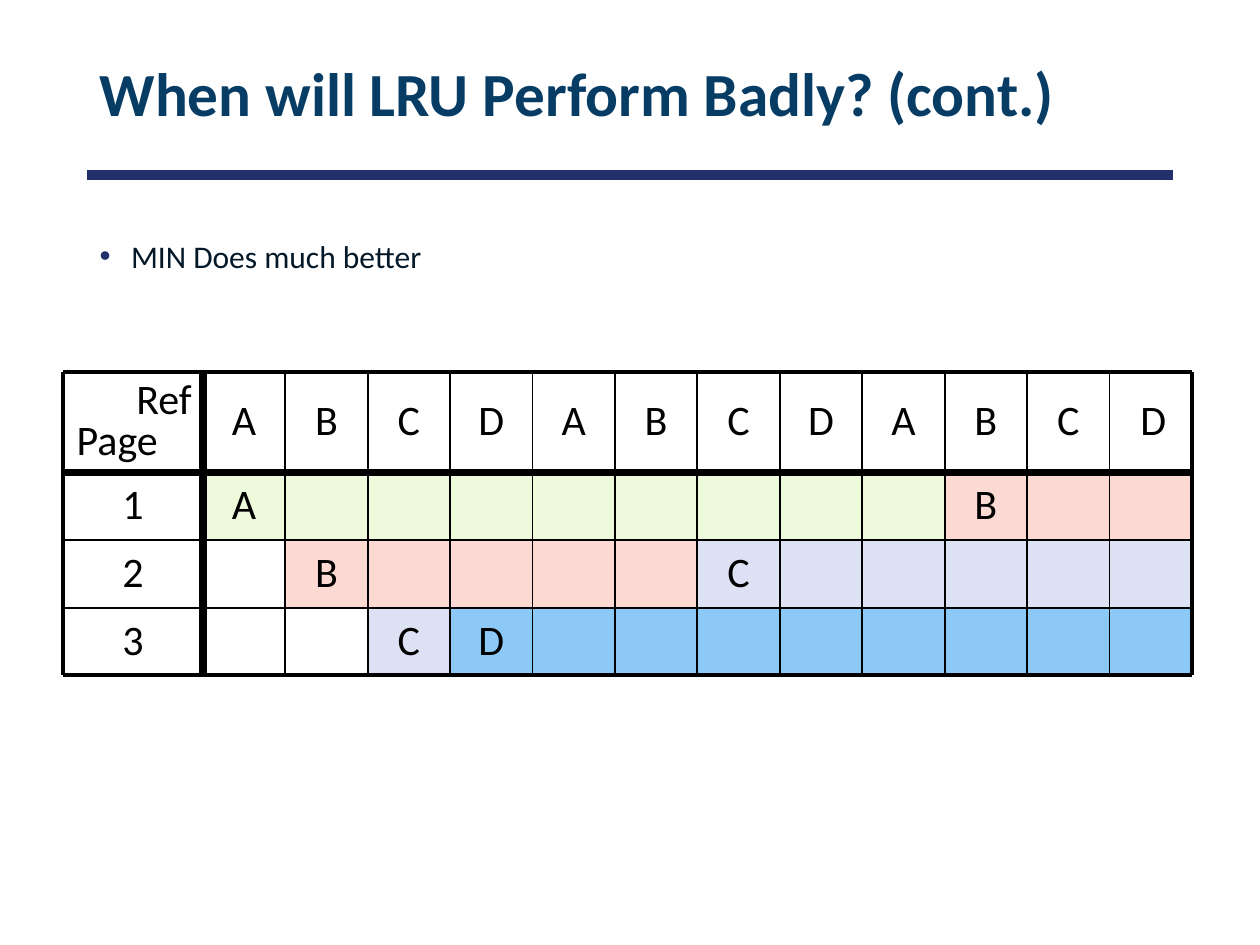
from lxml import etree
from pptx import Presentation, util as u
from pptx.dml.color import RGBColor
from pptx.enum import shapes, text
from pptx.oxml import ns

FONT = "Calibri"
TITLE_BLUE = RGBColor(0x07, 0x3C, 0x65)
RULE_BLUE = RGBColor(0x21, 0x30, 0x6A)
BODY_INK = RGBColor(0x03, 0x18, 0x28)
BLACK = RGBColor(0, 0, 0)
WHITE = RGBColor(0xFF, 0xFF, 0xFF)
PAGE_FILLS = {
    "A": RGBColor(0xED, 0xFB, 0xDC),
    "B": RGBColor(0xFC, 0xD9, 0xD3),
    "C": RGBColor(0xDC, 0xE1, 0xF4),
    "D": RGBColor(0x8C, 0xC9, 0xF7),
}
REFERENCES = "ABCD" * 3
FRAMES = ["A" * 9 + "B" * 3, " " + "B" * 5 + "C" * 6, "  C" + "D" * 9]
ALIGN = text.PP_ALIGN
ANCHOR = text.MSO_ANCHOR


def apply(target, formats):
    """Set every attribute in formats on target."""
    for key, value in formats.items():
        setattr(target, key, value)


def write(paragraph, words, size, color, bold=False, **formats):
    """Put words in a paragraph with its font and paragraph formats."""
    run = paragraph.add_run()
    run.text = words
    apply(run.font, {"name": FONT, "size": u.Pt(size), "bold": bold})
    run.font.color.rgb = color
    apply(paragraph, formats)


def place(part, box):
    """Move a part to a box of left, top, width and height in inches."""
    apply(part, dict(zip(("left", "top", "width", "height"), map(u.Inches, box))))


def add_line(slide, start, end, color, width):
    """Draw a straight line between two points in inches."""
    line = slide.shapes.add_connector(shapes.MSO_CONNECTOR.STRAIGHT,
                                      *map(u.Inches, (*start, *end)))
    line.line.color.rgb = color
    line.line.width = u.Pt(width)
    etree.SubElement(line._element.spPr, ns.qn("a:effectLst"))


def add_heading(slide, box):
    """Fill the title placeholder and draw the rule below it."""
    heading = slide.shapes.title
    place(heading, box)
    heading.text_frame.vertical_anchor = ANCHOR.MIDDLE
    write(heading.text_frame.paragraphs[0], "When will LRU Perform Badly? (cont.)",
          35, TITLE_BLUE, True, alignment=ALIGN.LEFT, line_spacing=0.9)
    left, top, width, height = box
    rule_y = top + height + 0.08
    add_line(slide, (left, rule_y), (left + width, rule_y), RULE_BLUE, 6)


def add_remark(slide, box):
    """Fill the body placeholder with its one bulleted remark."""
    body = slide.placeholders[1]
    place(body, box)
    remark = body.text_frame.paragraphs[0]
    write(remark, "MIN Does much better", 18, BODY_INK, space_before=u.Pt(10))
    properties = remark._p.get_or_add_pPr()
    properties.set("marL", str(u.Inches(0.25)))
    properties.set("indent", str(-u.Inches(0.25)))
    bullet_color = etree.SubElement(properties, ns.qn("a:buClr"))
    etree.SubElement(bullet_color, ns.qn("a:srgbClr"), val=str(RULE_BLUE))
    etree.SubElement(properties, ns.qn("a:buChar"), char="•")


def add_cell(slide, box, label="", fill=None):
    """Place one cell, filled or clear, with a centred label if it has one."""
    bounds = list(map(u.Inches, box))
    if fill is None:
        cell = slide.shapes.add_textbox(*bounds)
    else:
        cell = slide.shapes.add_shape(shapes.MSO_SHAPE.RECTANGLE, *bounds)
        cell.shadow.inherit = False
        cell.fill.solid()
        cell.fill.fore_color.rgb = fill
        cell.line.fill.background()
    apply(cell.text_frame, {"word_wrap": True, "vertical_anchor": ANCHOR.MIDDLE})
    if label:
        write(cell.text_frame.paragraphs[0], label, 24, BLACK,
              alignment=ALIGN.CENTER, line_spacing=0.9)


def add_corner(slide, box):
    """Label the corner for both the row and the column headings."""
    corner = slide.shapes.add_textbox(*map(u.Inches, box))
    frame = corner.text_frame
    apply(frame, {"word_wrap": True, "vertical_anchor": ANCHOR.TOP})
    write(frame.paragraphs[0], "Ref", 24, BLACK, alignment=ALIGN.RIGHT, line_spacing=0.9)
    write(frame.add_paragraph(), "Page", 24, BLACK, alignment=ALIGN.LEFT,
          line_spacing=0.5, space_before=u.Pt(7))


def add_grid(slide, xs, ys):
    """Rule the grid: thick below and beside the headings, medium outside."""
    def weight(edge, edges):
        return {0: 2.25, 1: 4.5, len(edges) - 1: 2.25}.get(edge, 1)

    for row, y in enumerate(ys):
        add_line(slide, (xs[0], y), (xs[-1], y), BLACK, weight(row, ys))
    for column, x in enumerate(xs):
        add_line(slide, (x, ys[0]), (x, ys[-1]), BLACK, weight(column, xs))


def add_trace(slide, box):
    """Build the chart of page frames against the reference string."""
    left, top, width, height = box
    label_width, header_height = 1.11, 0.8
    step = (width - label_width) / len(REFERENCES)
    row_height = (height - header_height) / len(FRAMES)
    xs = [left] + [left + label_width + step * n for n in range(len(REFERENCES) + 1)]
    ys = [top] + [top + header_height + row_height * n for n in range(len(FRAMES) + 1)]

    for number, (frame, y) in enumerate(zip(FRAMES, ys[1:]), 1):
        add_cell(slide, (left, y, label_width, row_height), str(number),
                 WHITE if number == len(FRAMES) else None)
        for previous, page, x in zip(" " + frame, frame, xs[1:]):
            if page != " ":
                add_cell(slide, (x, y, step, row_height),
                         page if page != previous else "", PAGE_FILLS[page])
    add_grid(slide, xs, ys)
    add_corner(slide, (left + 0.01, top, label_width, header_height))
    last = len(REFERENCES) - 1
    for index, (reference, x) in enumerate(zip(REFERENCES, xs[1:])):
        nudge = 0.02 if index == last else 0
        add_cell(slide, (x + nudge, top, step, header_height), reference)


def main():
    """Build and save the slide."""
    deck = Presentation()
    apply(deck, {"slide_width": u.Inches(10), "slide_height": u.Inches(7.5)})
    slide = deck.slides.add_slide(deck.slide_layouts[1])
    add_heading(slide, (0.69, 0.23, 8.62, 1.08))
    add_remark(slide, (0.69, 1.83, 8.62, 5.43))
    add_trace(slide, (0.5, 2.95, 8.96, 2.41))
    deck.save("out.pptx")


if __name__ == "__main__":
    main()
